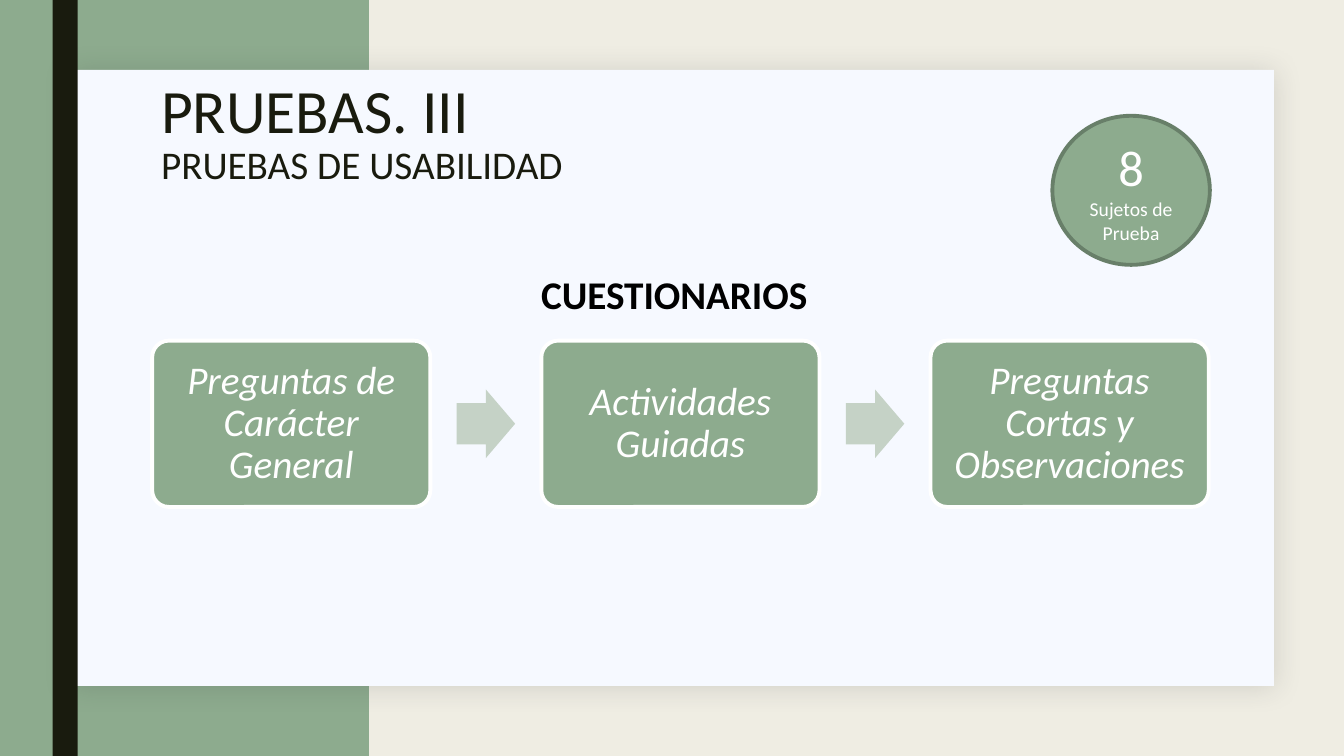
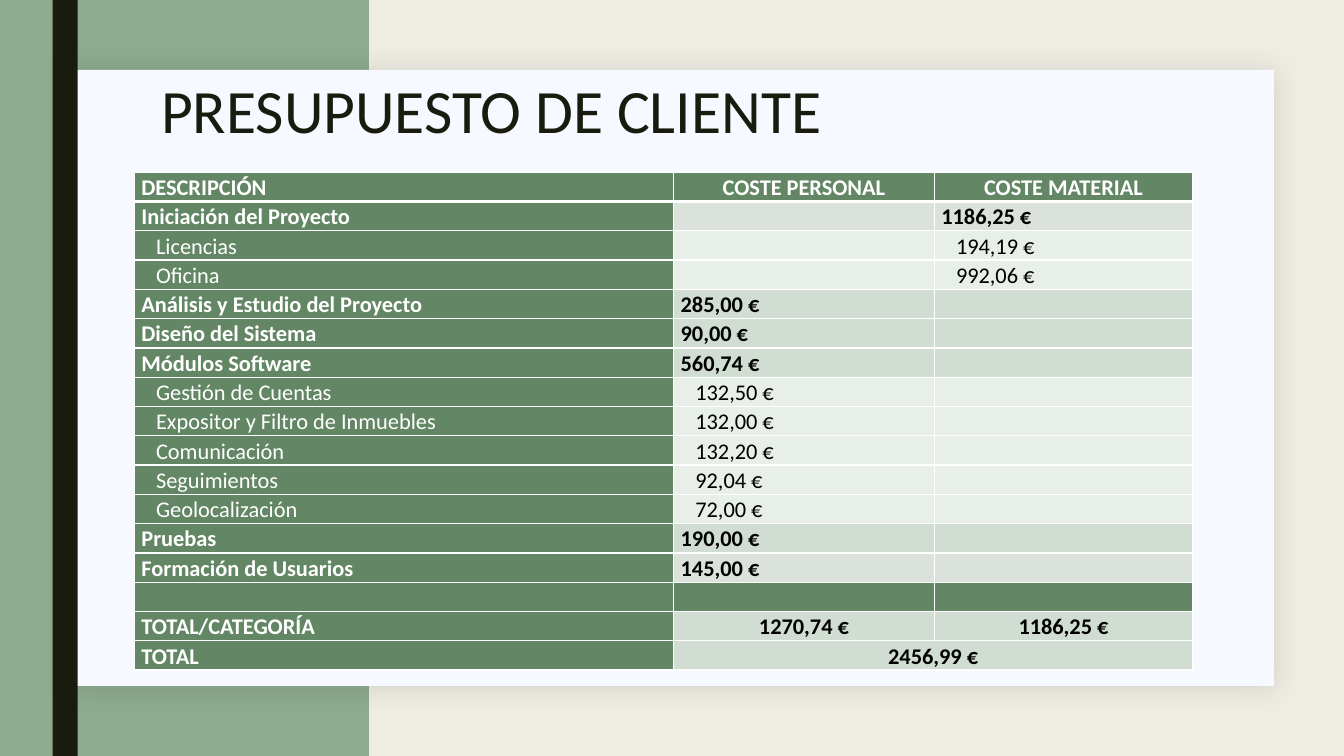
import dataclasses

import lxml.etree
import pptx
import pptx.dml.color
import pptx.enum.shapes
import pptx.enum.text
import pptx.oxml.ns
import pptx.util

Pt = pptx.util.Pt
qn = pptx.oxml.ns.qn
SHAPE = pptx.enum.shapes.MSO_SHAPE
ALIGN = pptx.enum.text.PP_ALIGN
MIDDLE = pptx.enum.text.MSO_ANCHOR.MIDDLE


@dataclasses.dataclass(frozen=True)
class Theme:
    font: str = "Calibri"
    paper: str = "EFEDE3"
    panel: str = "F6F9FF"
    shadow: str = "1F2125"
    green: str = "8DAB8E"
    outline: str = "687F69"
    arrow: str = "C5D2C6"
    ink: str = "191B0E"
    white: str = "FFFFFF"
    black: str = "000000"
    label: str = "638764"
    edge_row: str = "DBE2DB"
    main_row: str = "D1DDD2"
    sub_row: str = "E8EEE8"
    title: int = 44
    heading: int = 28
    number: int = 36
    caption: int = 14
    cell: int = 16


T = Theme()

STEPS = [
    "Preguntas de Carácter General",
    "Actividades Guiadas",
    "Preguntas Cortas y Observaciones",
]

ROW_STYLES = {
    "head": dict(fill=T.label, color=T.white, bold=True, align=ALIGN.CENTER, indent=0),
    "edge": dict(fill=T.edge_row, color=T.black, bold=True, align=ALIGN.LEFT, indent=0),
    "main": dict(fill=T.main_row, color=T.black, bold=True, align=ALIGN.LEFT, indent=0),
    "sub": dict(fill=T.sub_row, color=T.black, bold=False, align=ALIGN.LEFT, indent=10.5),
    "total": dict(fill=T.main_row, color=T.black, bold=True, align=ALIGN.CENTER, indent=0),
}

BUDGET = [
    ("head", "DESCRIPCIÓN", "COSTE PERSONAL", "COSTE MATERIAL"),
    ("edge", "Iniciación del Proyecto", "", "1186,25 €"),
    ("sub", "Licencias", "", "194,19 €"),
    ("sub", "Oficina", "", "992,06 €"),
    ("main", "Análisis y Estudio del Proyecto", "285,00 €", ""),
    ("main", "Diseño del Sistema", "90,00 €", ""),
    ("main", "Módulos Software", "560,74 €", ""),
    ("sub", "Gestión de Cuentas", "132,50 €", ""),
    ("sub", "Expositor y Filtro de Inmuebles", "132,00 €", ""),
    ("sub", "Comunicación", "132,20 €", ""),
    ("sub", "Seguimientos", "92,04 €", ""),
    ("sub", "Geolocalización", "72,00 €", ""),
    ("main", "Pruebas", "190,00 €", ""),
    ("edge", "Formación de Usuarios", "145,00 €", ""),
    ("head", "", "", ""),
    ("total", "TOTAL/CATEGORÍA", "1270,74 €", "1186,25 €"),
    ("total", "TOTAL", "2456,99 €", ""),
]


def rgb(color):
    return pptx.dml.color.RGBColor.from_string(color)


def assign(obj, **values):
    for name, value in values.items():
        setattr(obj, name, value)


def add_run(p, text, size, color, **values):
    r = p.add_run()
    r.text = text
    assign(r.font, name=T.font, size=Pt(size), **values)
    r.font.color.rgb = rgb(color)


def add_text(s, box):
    tf = s.shapes.add_textbox(*map(Pt, box)).text_frame
    tf.word_wrap = True
    return tf.paragraphs[0]


def add_shape(s, kind, box, fill, line=None, adjustments=()):
    sp = s.shapes.add_shape(kind, *map(Pt, box))
    sp.shadow.inherit = False
    sp.fill.solid()
    sp.fill.fore_color.rgb = rgb(fill)
    if line:
        sp.line.color.rgb = rgb(line)
        sp.line.width = Pt(2.75)
    else:
        sp.line.fill.background()
    for i, value in enumerate(adjustments):
        sp.adjustments[i] = value
    assign(sp.text_frame, word_wrap=True, vertical_anchor=MIDDLE)
    return sp


def add_soft_shadow(sp):
    effects = sp._element.spPr.find(qn("a:effectLst"))
    outer = lxml.etree.SubElement(
        effects, qn("a:outerShdw"), blurRad=str(Pt(20)), dist=str(Pt(2)),
        dir=str(45 * 60000), algn="tl", rotWithShape="0")
    color = lxml.etree.SubElement(outer, qn("a:srgbClr"), val=T.shadow)
    lxml.etree.SubElement(color, qn("a:alpha"), val="15000")


def add_slide(prs, title, subtitle=None):
    s = prs.slides.add_slide(prs.slide_layouts[6])
    s.background.fill.solid()
    s.background.fill.fore_color.rgb = rgb(T.paper)
    add_shape(s, SHAPE.RECTANGLE, (0, 0, 263.5, 540), T.green)
    add_soft_shadow(add_shape(s, SHAPE.RECTANGLE, (50, 50, 860, 440), T.panel))
    add_shape(s, SHAPE.RECTANGLE, (37.5, 0, 18, 540), T.ink)
    p = add_text(s, (108, 54, 756, 116.5))
    p.line_spacing = 0.89
    add_run(p, title, T.title, T.ink)
    if subtitle:
        p.add_line_break()
        add_run(p, subtitle, T.heading, T.ink)
    return s


def add_steps(s, steps):
    left, top, width, height, pitch = 108.7, 243.3, 198.7, 118.8, 278
    arrow_w, arrow_h = 41.8, 49
    for i, step in enumerate(steps):
        x = left + i * pitch
        sp = add_shape(s, SHAPE.ROUNDED_RECTANGLE, (x, top, width, height),
                       T.green, T.white, [0.1])
        sides = ("left", "top", "right", "bottom")
        assign(sp.text_frame, **{f"margin_{side}": Pt(8.6) for side in sides})
        p = sp.text_frame.paragraphs[0]
        assign(p, alignment=ALIGN.CENTER, line_spacing=0.9)
        add_run(p, step, T.heading, T.white, italic=True)
        if i < len(steps) - 1:
            arrow_x = x + (width + pitch - arrow_w) / 2
            arrow_y = top + (height - arrow_h) / 2
            add_shape(s, SHAPE.RIGHT_ARROW, (arrow_x, arrow_y, arrow_w, arrow_h),
                      T.arrow, adjustments=[0.6, 0.5])


def add_badge(s, number, caption):
    sp = add_shape(s, SHAPE.OVAL, (751.7, 82.7, 112.5, 106.5), T.green, T.outline)
    tf = sp.text_frame
    lines = [(tf.paragraphs[0], number, T.number),
             (tf.add_paragraph(), caption, T.caption)]
    for p, text, size in lines:
        p.alignment = ALIGN.CENTER
        add_run(p, text, size, T.white)


def add_borders(cell, top, bottom):
    tcPr = cell._tc.get_or_add_tcPr()
    for side, width in (("L", 1), ("R", 1), ("T", top), ("B", bottom)):
        ln = lxml.etree.SubElement(tcPr, qn(f"a:ln{side}"), w=str(Pt(width)))
        fill = lxml.etree.SubElement(ln, qn("a:solidFill"))
        lxml.etree.SubElement(fill, qn("a:srgbClr"), val=T.white)


def fill_cell(cell, text, fill, color, bold, align, indent):
    cell.fill.solid()
    cell.fill.fore_color.rgb = rgb(fill)
    assign(cell, vertical_anchor=MIDDLE, margin_left=Pt(5 + indent),
           margin_right=Pt(5), margin_top=0, margin_bottom=0)
    p = cell.text_frame.paragraphs[0]
    assign(p, alignment=align, line_spacing=1.07)
    if text:
        add_run(p, text, T.cell, color, bold=bold)
    else:
        lxml.etree.SubElement(p._p, qn("a:endParaRPr"), sz=str(T.cell * 100))


def add_budget(s, rows):
    widths, row_height = (385.2, 186.2, 184.6), 20.92
    frame = s.shapes.add_table(len(rows), len(widths), Pt(96), Pt(123),
                               Pt(sum(widths)), Pt(row_height * len(rows)))
    table = frame.table
    assign(table, first_row=False, horz_banding=False)
    for column, width in zip(table.columns, widths):
        column.width = Pt(width)
    for i, (kind, *texts) in enumerate(rows):
        table.rows[i].height = Pt(row_height)
        for j, text in enumerate(texts):
            style = dict(ROW_STYLES[kind])
            if j == 0:
                style.update(fill=T.label, color=T.white, align=ALIGN.LEFT)
            cell = table.cell(i, j)
            add_borders(cell, 3 if i == 1 else 1, 3 if i == 0 else 1)
            fill_cell(cell, text, **style)
    last = len(rows) - 1
    table.cell(last, 1).merge(table.cell(last, 2))


def main():
    prs = pptx.Presentation()
    assign(prs, slide_width=Pt(960), slide_height=Pt(540))

    s = add_slide(prs, "PRUEBAS. III", "PRUEBAS DE USABILIDAD")
    add_steps(s, STEPS)
    p = add_text(s, (379.4, 189.4, 212.4, 41))
    add_run(p, "CUESTIONARIOS", T.heading, T.black, bold=True)
    add_badge(s, "8", "Sujetos de Prueba")

    s = add_slide(prs, "PRESUPUESTO DE CLIENTE")
    add_budget(s, BUDGET)

    prs.save("out.pptx")


if __name__ == "__main__":
    main()
